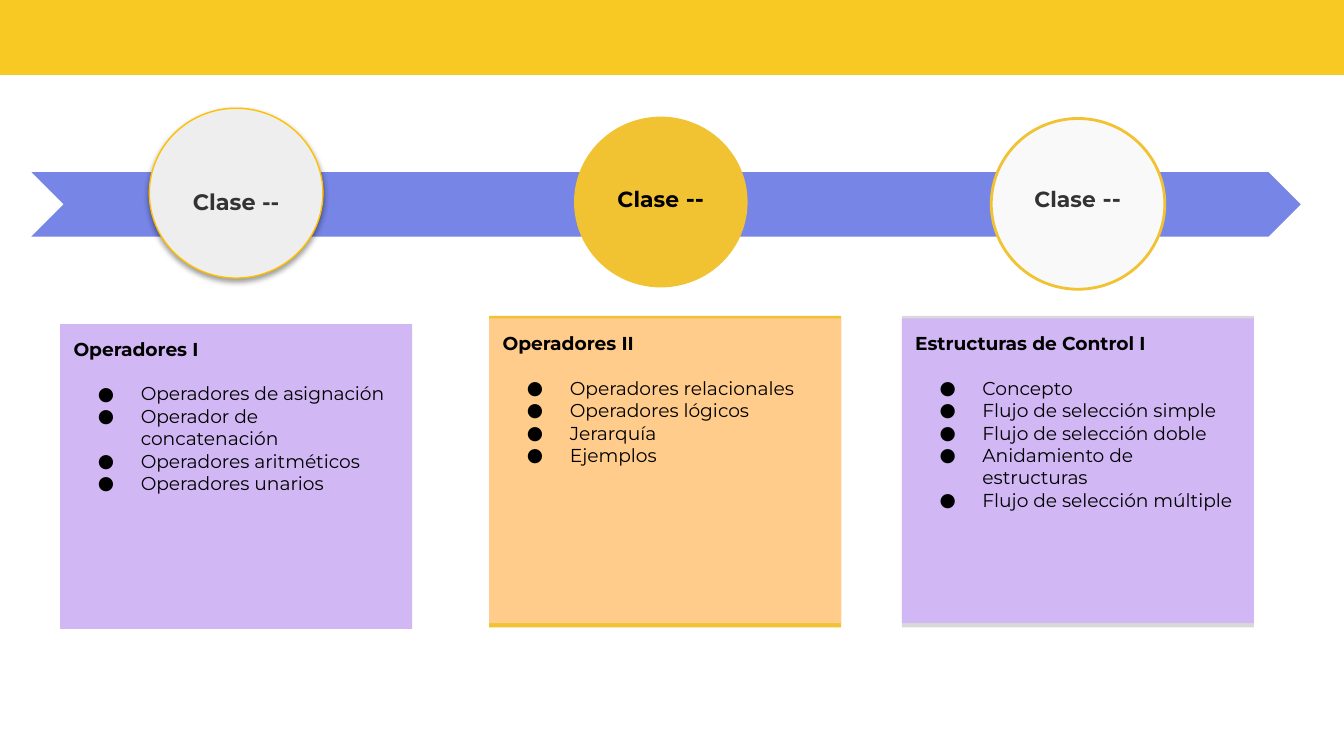
"""Build a slide with a timeline of three classes and their topics."""
from dataclasses import dataclass
from typing import Optional

from lxml.etree import SubElement
from pptx import Presentation
from pptx.dml.color import RGBColor
from pptx.enum.shapes import MSO_SHAPE
from pptx.enum.text import MSO_ANCHOR, MSO_AUTO_SIZE, PP_ALIGN
from pptx.oxml.ns import qn
from pptx.util import Pt


@dataclass(frozen=True)
class Theme:
    font: str = "Montserrat"
    black: str = "000000"
    dark: str = "333333"
    banner: str = "F8C823"
    arrow: str = "7685E6"
    gold: str = "F1C232"
    amber: str = "FFC000"
    grey: str = "EEEEEE"
    pale: str = "F9F9F9"
    edge: str = "D9D9D9"
    lilac: str = "D2B7F5"
    peach: str = "FFCC8B"
    body: float = 10
    label: float = 12
    title: float = 11.7
    dashes: float = 12.6


@dataclass(frozen=True)
class Box:
    x: float
    y: float
    w: float
    h: float


@dataclass(frozen=True)
class Circle:
    box: Box
    fill: str
    line: Optional[str] = None
    width: float = 0
    shadow: bool = False


@dataclass(frozen=True)
class Label:
    x: float
    y: float
    color: str
    runs: tuple[tuple[str, float], ...]
    holder: Optional[int] = None


@dataclass(frozen=True)
class Card:
    holder: int
    x: float
    y: float
    fill: str
    heading: str
    topics: tuple[str, ...]
    edge: Optional[str] = None


T = Theme()
CARD_W, CARD_H, EDGE_Y, EDGE_H = 188.6, 163.4, 169.2, 167
SPLIT = (("Clase", T.title), (" --", T.dashes))

CIRCLES = (
    Circle(Box(80, 58, 93, 91), T.grey, T.amber, 0.75, True),
    Circle(Box(307.5, 62.5, 93, 91.5), T.gold),
    Circle(Box(531, 63.5, 93, 91.5), T.pale, T.gold, 1.5),
)
LABELS = (
    Label(90.5, 93.6, T.dark, (("Clase --", T.label),)),
    Label(318, 91.4, T.black, SPLIT, 0),
    Label(541.3, 91.4, T.dark, SPLIT, 1),
)
CARDS = (
    Card(2, 32.2, 173.6, T.lilac, "Operadores I",
         ("Operadores de asignación", "Operador de concatenación",
          "Operadores aritméticos", "Operadores unarios")),
    Card(3, 262.1, 170.5, T.peach, "Operadores II",
         ("Operadores relacionales", "Operadores lógicos", "Jerarquía", "Ejemplos"), T.gold),
    Card(4, 483.1, 170.5, T.lilac, "Estructuras de Control I",
         ("Concepto", "Flujo de selección simple", "Flujo de selección doble",
          "Anidamiento de estructuras", "Flujo de selección múltiple"), T.edge),
)


def add_shape(s, kind: MSO_SHAPE, box: Box, fill: str):
    """Add a plain filled shape."""
    sp = s.shapes.add_shape(kind, Pt(box.x), Pt(box.y), Pt(box.w), Pt(box.h))
    sp.shadow.inherit = False
    sp.fill.solid()
    sp.fill.fore_color.rgb = RGBColor.from_string(fill)
    sp.line.fill.background()
    return sp


def add_circle(s, c: Circle) -> None:
    """Add a timeline circle with its outline and shadow."""
    sp = add_shape(s, MSO_SHAPE.OVAL, c.box, c.fill)
    if c.line:
        sp.line.color.rgb = RGBColor.from_string(c.line)
        sp.line.width = Pt(c.width)
    if c.shadow:
        effects = sp.element.spPr.find(qn("a:effectLst"))
        outer = SubElement(effects, qn("a:outerShdw"), blurRad=str(Pt(3.1)),
                           dist=str(Pt(1.6)), dir="5400000", rotWithShape="0")
        color = SubElement(outer, qn("a:srgbClr"), val=T.black)
        SubElement(color, qn("a:alpha"), val="38000")


def place_text(s, holder: Optional[int], box: Box):
    """Bring a placeholder or a new text box to the front and prepare its frame."""
    if holder is None:
        sp = s.shapes.add_textbox(0, 0, 0, 0)
    else:
        sp = next(ph for ph in s.placeholders if ph.placeholder_format.idx == holder)
        sp.element.getparent().append(sp.element)
    sp.left, sp.top, sp.width, sp.height = Pt(box.x), Pt(box.y), Pt(box.w), Pt(box.h)
    tf = sp.text_frame
    tf.word_wrap = True
    tf.auto_size = MSO_AUTO_SIZE.NONE
    tf.vertical_anchor = MSO_ANCHOR.TOP
    tf.margin_left = tf.margin_right = tf.margin_top = tf.margin_bottom = Pt(7.2)
    return sp


def format_paragraph(p, align: PP_ALIGN, before: float = 0, bullet: bool = False) -> None:
    """Set alignment, spacing and bullet of a paragraph."""
    p.alignment = align
    p.line_spacing = 1.0
    p.space_before, p.space_after = Pt(before), Pt(0)
    pPr = p._p.get_or_add_pPr()
    pPr.set("marL", str(Pt(36 if bullet else 0)))
    pPr.set("indent", str(Pt(-23 if bullet else 0)))
    if bullet:
        SubElement(SubElement(pPr, qn("a:buClr")), qn("a:srgbClr"), val=T.black)
        SubElement(pPr, qn("a:buFont"), typeface=T.font)
        SubElement(pPr, qn("a:buChar"), char="●")
    else:
        SubElement(pPr, qn("a:buNone"))


def add_run(p, text: str, size: float, color: str, bold: bool) -> None:
    """Add one formatted run."""
    r = p.add_run()
    r.text = text
    r.font.name, r.font.size, r.font.bold = T.font, Pt(size), bold
    r.font.color.rgb = RGBColor.from_string(color)


def add_label(s, label: Label) -> None:
    """Add the class name over a circle."""
    sp = place_text(s, label.holder, Box(label.x, label.y, 72, 23.8))
    p = sp.text_frame.paragraphs[0]
    format_paragraph(p, PP_ALIGN.CENTER)
    for text, size in label.runs:
        add_run(p, text, size, label.color, True)


def add_card(s, card: Card) -> None:
    """Add a topic card with its heading and bullets."""
    if card.edge:
        add_shape(s, MSO_SHAPE.RECTANGLE, Box(card.x, EDGE_Y, CARD_W, EDGE_H), card.edge)
    sp = place_text(s, card.holder, Box(card.x, card.y, CARD_W, CARD_H))
    sp.fill.solid()
    sp.fill.fore_color.rgb = RGBColor.from_string(card.fill)
    tf = sp.text_frame
    p = tf.paragraphs[0]
    format_paragraph(p, PP_ALIGN.LEFT)
    add_run(p, card.heading, T.body, T.black, True)
    for i, topic in enumerate(card.topics):
        p = tf.add_paragraph()
        format_paragraph(p, PP_ALIGN.LEFT, 0 if i else 12, True)
        add_run(p, topic, T.body, T.black, False)


def main() -> None:
    """Build and save the slide."""
    prs = Presentation()
    prs.slide_width, prs.slide_height = Pt(720), Pt(405)
    s = prs.slides.add_slide(prs.slide_layouts.get_by_name("Comparison"))
    add_shape(s, MSO_SHAPE.RECTANGLE, Box(0, 0, 720, 40.2), T.banner)
    add_shape(s, MSO_SHAPE.CHEVRON, Box(16.8, 92.2, 680, 34.5), T.arrow)
    for circle in CIRCLES:
        add_circle(s, circle)
    for label in LABELS:
        add_label(s, label)
    for card in CARDS:
        add_card(s, card)
    prs.save("out.pptx")


if __name__ == "__main__":
    main()
